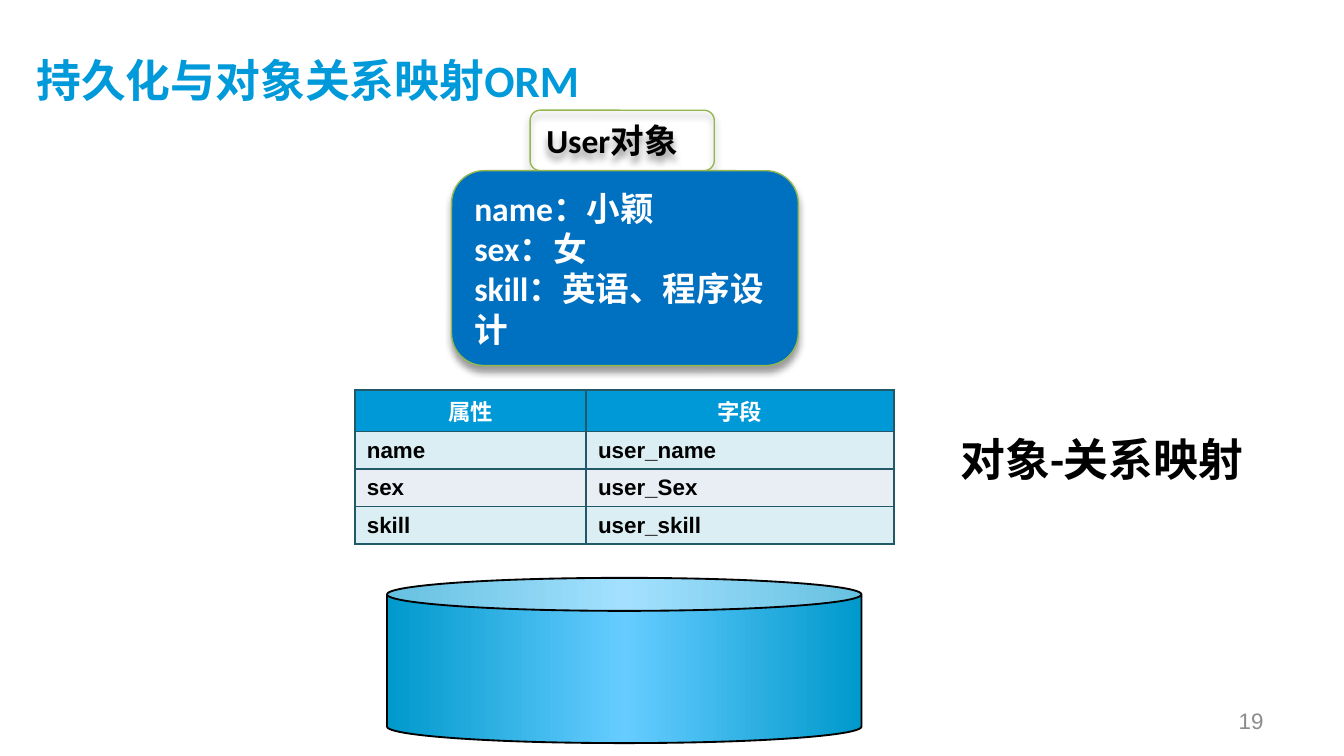
from copy import deepcopy

from lxml import etree
from pptx import Presentation
from pptx.dml.color import RGBColor
from pptx.enum.shapes import MSO_SHAPE
from pptx.enum.text import MSO_ANCHOR, MSO_AUTO_SIZE, PP_ALIGN
from pptx.oxml.ns import qn
from pptx.util import Inches, Pt

ROUNDED, CAN = MSO_SHAPE.ROUNDED_RECTANGLE, MSO_SHAPE.CAN
TOP, MIDDLE = MSO_ANCHOR.TOP, MSO_ANCHOR.MIDDLE
LEFT, CENTER, RIGHT = PP_ALIGN.LEFT, PP_ALIGN.CENTER, PP_ALIGN.RIGHT
NO_AUTOFIT = MSO_AUTO_SIZE.NONE

WHITE = RGBColor(0xFF, 0xFF, 0xFF)
BLACK = RGBColor(0, 0, 0)
GRAY = RGBColor(0x8C, 0x8C, 0x8C)
TITLE_BLUE = RGBColor(0, 0x99, 0xD9)
HEADER_BLUE = RGBColor(0, 0x99, 0xD8)
OBJECT_BLUE = RGBColor(0, 0x70, 0xC0)
OBJECT_GREEN = RGBColor(0x95, 0xB7, 0x4F)
CAN_DARK = RGBColor(0, 0x99, 0xCC)
CAN_LIGHT = RGBColor(0x66, 0xCC, 0xFF)
BORDER = RGBColor(0x21, 0x59, 0x68)
BANDS = RGBColor(0xDB, 0xEE, 0xF4), RGBColor(0xE9, 0xED, 0xF4)

MAPPING = [("属性", "字段"), ("name", "user_name"), ("sex", "user_Sex"), ("skill", "user_skill")]


def write_text(frame, text, size=18, font="Calibri", color=BLACK, bold=True,
               align=LEFT, anchor=MIDDLE, hanging=0):
    """Fill a text frame with one paragraph per line of text."""
    frame.word_wrap = True
    frame.vertical_anchor = anchor
    frame.text = text
    for paragraph in frame.paragraphs:
        paragraph.alignment = align
        if hanging:
            properties = paragraph._p.get_or_add_pPr()
            properties.set("marL", str(Inches(hanging)))
            properties.set("indent", str(-Inches(hanging)))
        for run in paragraph.runs:
            run.font.name = font
            run.font.size = Pt(size)
            run.font.bold = bold
            run.font.color.rgb = color


def add_label(slide, box, text, **text_format):
    """Add a text box."""
    label = slide.shapes.add_textbox(*map(Inches, box))
    write_text(label.text_frame, text, **text_format)


def add_title(slide, box, text):
    """Place and format the title placeholder."""
    title = slide.shapes.title
    title.left, title.top, title.width, title.height = map(Inches, box)
    frame = title.text_frame
    frame.auto_size = NO_AUTOFIT
    frame.margin_left = frame.margin_top = 0
    frame.margin_right, frame.margin_bottom = Inches(0.1), Inches(0.05)
    write_text(frame, text, size=24, color=TITLE_BLUE)


def add_shadow(shape):
    """Give a shape a soft shadow straight below it."""
    shape.shadow.inherit = False
    effects = shape._element.spPr.find(qn("a:effectLst"))
    shadow = etree.SubElement(effects, qn("a:outerShdw"), blurRad=str(Pt(4)),
                              dist=str(Pt(3)), dir="5400000", rotWithShape="0")
    color = etree.SubElement(shadow, qn("a:srgbClr"), val=str(BLACK))
    etree.SubElement(color, qn("a:alpha"), val="40000")


def add_object(slide, box):
    """Add the object card with its name tab on top."""
    left, top, width, height = box
    tab_width, tab_height = 1.37, 0.45
    tab_left = left + (width - tab_width) / 2 - 0.02
    group = slide.shapes.add_group_shape()
    parts = [
        ((tab_left, top, tab_width, tab_height), None, BLACK, "User对象"),
        ((left, top + tab_height, width, height - tab_height), OBJECT_BLUE, WHITE,
         "name：小颖\nsex：女\nskill：英语、程序设计"),
    ]
    for part_box, fill, color, text in parts:
        card = group.shapes.add_shape(ROUNDED, *map(Inches, part_box))
        if fill is None:
            card.fill.background()
        else:
            card.fill.solid()
            card.fill.fore_color.rgb = fill
        card.line.color.rgb = OBJECT_GREEN
        card.line.width = Pt(0.75)
        add_shadow(card)
        write_text(card.text_frame, text, color=color)


def add_borders(cell):
    """Draw a thin line on each side of a table cell."""
    properties = cell._tc.get_or_add_tcPr()
    for index, side in enumerate(("a:lnL", "a:lnR", "a:lnT", "a:lnB")):
        line = etree.Element(qn(side), w=str(Pt(1)))
        fill = etree.SubElement(line, qn("a:solidFill"))
        etree.SubElement(fill, qn("a:srgbClr"), val=str(BORDER))
        properties.insert(index, line)


def add_mapping_table(slide, box):
    """Add the table that maps attributes to fields."""
    header_height, row_height = 0.31, 0.28
    table = slide.shapes.add_table(len(MAPPING), 2, *map(Inches, box)).table
    table.columns[0].width = Inches(1.72)
    table.columns[1].width = Inches(box[2] - 1.72)
    for row, values in enumerate(MAPPING):
        header = row == 0
        table.rows[row].height = Inches(header_height if header else row_height)
        for column, value in enumerate(values):
            cell = table.cell(row, column)
            cell.margin_left = cell.margin_right = Inches(0.09)
            cell.margin_top = cell.margin_bottom = Inches(0.03)
            cell.vertical_anchor = MIDDLE
            cell.fill.solid()
            cell.fill.fore_color.rgb = HEADER_BLUE if header else BANDS[(row - 1) % 2]
            add_borders(cell)
            write_text(cell.text_frame, value, size=12, font="Arial", hanging=0.38,
                       color=WHITE if header else BLACK, align=CENTER if header else LEFT)


def add_database(slide, box):
    """Add the database cylinder with its three-stop gradient."""
    database = slide.shapes.add_shape(CAN, *map(Inches, box))
    database.shadow.inherit = False
    database.adjustments[0] = 0.2
    database.line.color.rgb = BLACK
    database.line.width = Pt(1)
    database.fill.gradient()
    database.fill.gradient_angle = 0
    stop_list = next(database._element.spPr.iter(qn("a:gsLst")))
    stop_list.insert(1, deepcopy(stop_list[0]))
    stops = zip(database.fill.gradient_stops, (0, 0.5, 1), (CAN_DARK, CAN_LIGHT, CAN_DARK))
    for stop, position, color in stops:
        stop.position = position
        stop.color.rgb = color


def main():
    """Build and save the slide."""
    presentation = Presentation()
    presentation.slide_width = Inches(10)
    presentation.slide_height = Inches(10) * 9 // 16
    slide = presentation.slides.add_slide(presentation.slide_layouts[5])
    add_title(slide, (0.27, 0.23, 8.95, 0.77), "持久化与对象关系映射ORM")
    add_label(slide, (7.17, 5.21, 2.33, 0.3), "19", size=12, font="Arial",
              color=GRAY, bold=False, align=RIGHT)
    add_mapping_table(slide, (2.64, 2.9, 4.01, 1.15))
    add_object(slide, (3.36, 0.82, 2.58, 1.9))
    add_database(slide, (2.88, 4.3, 3.53, 1.23))
    add_label(slide, (7.05, 3.16, 2.5, 0.53), "对象-关系映射", size=24,
              anchor=TOP, hanging=0.38)
    presentation.save("out.pptx")


if __name__ == "__main__":
    main()
